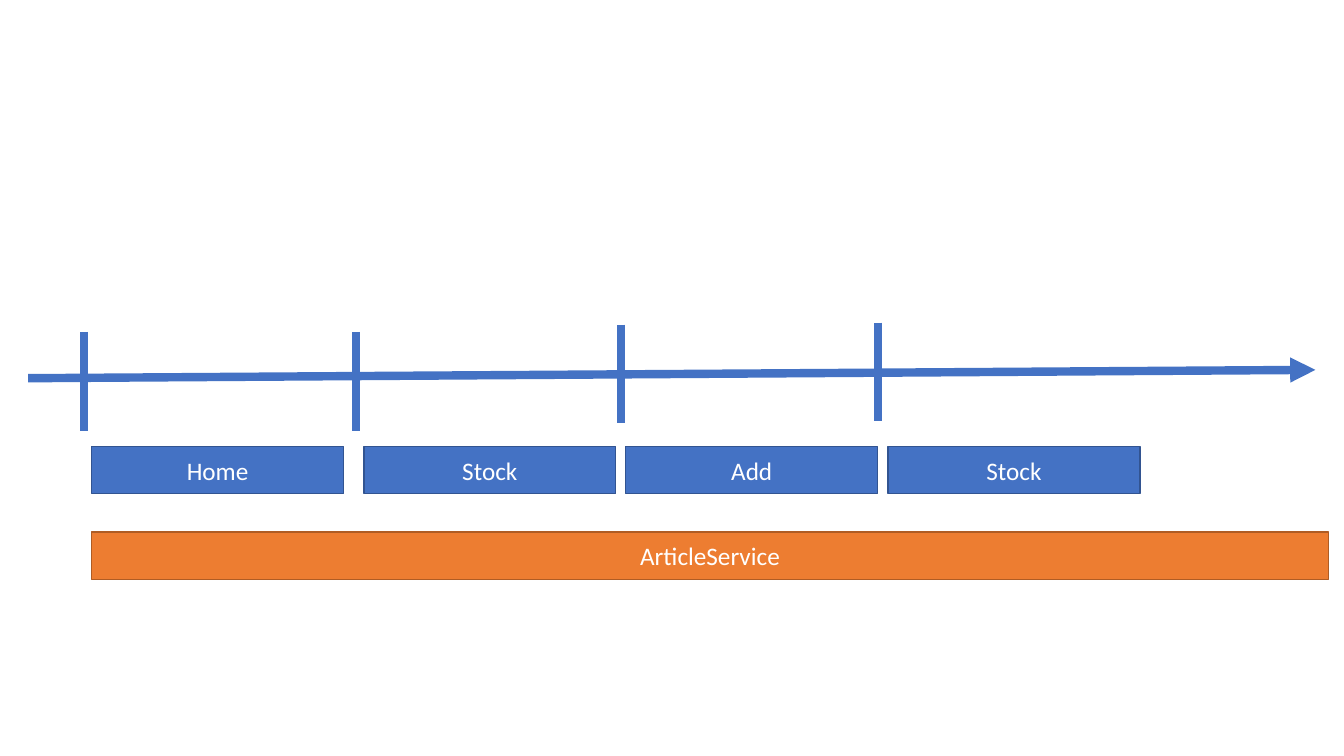
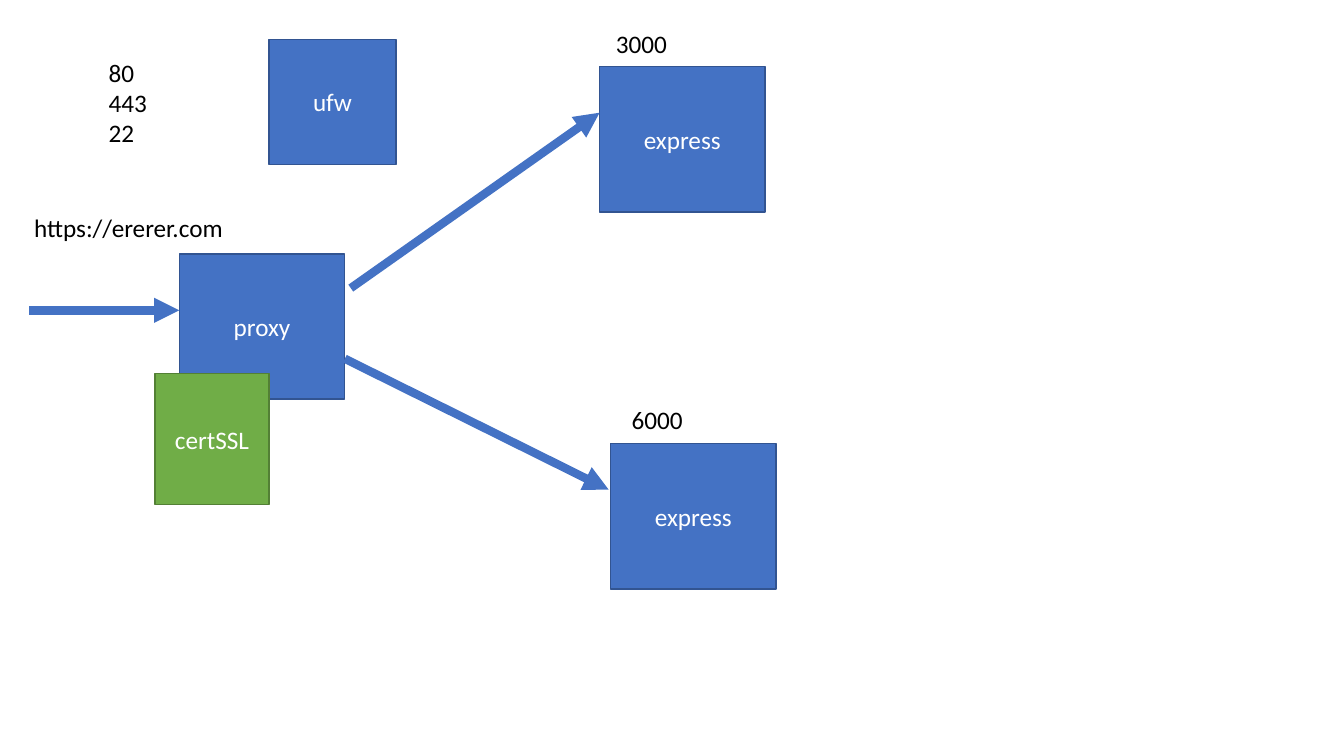
"""Build a page timeline slide and a server routing slide."""
import pptx
import pptx.dml.color
import pptx.enum.dml
import pptx.enum.shapes
import pptx.enum.text
import pptx.oxml
import pptx.oxml.ns
import pptx.util
import lxml.etree

Cm = pptx.util.Cm
Pt = pptx.util.Pt
COLORS = {
    "blue": "4472C4", "blue_edge": "325491",
    "orange": "ED7D31", "orange_edge": "AF5C24",
    "green": "70AD47", "green_edge": "538035",
    "white": "FFFFFF", "black": "000000",
}


def rgb(name):
    return pptx.dml.color.RGBColor.from_string(COLORS[name])


def write(tf, text, color="black", size=18, font="Calibri", align="LEFT",
          anchor="TOP", wrap=True):
    tf.word_wrap = wrap
    tf.vertical_anchor = getattr(pptx.enum.text.MSO_ANCHOR, anchor)
    for i, line in enumerate(text.split("\n")):
        p = tf.paragraphs[0] if i == 0 else tf.add_paragraph()
        p.alignment = getattr(pptx.enum.text.PP_ALIGN, align)
        r = p.add_run()
        r.text = line
        r.font.name = font
        r.font.size = Pt(size)
        r.font.color.rgb = rgb(color)


class Deck:
    def __init__(self):
        self.prs = pptx.Presentation()
        self.prs.slide_width = Cm(33.87)
        self.prs.slide_height = Cm(19.05)
        self.slide = None

    def add_slide(self):
        self.slide = self.prs.slides.add_slide(self.prs.slide_layouts[6])

    def box(self, text, x, y, w, h, color="blue"):
        sp = self.slide.shapes.add_shape(
            pptx.enum.shapes.MSO_SHAPE.RECTANGLE, Cm(x), Cm(y), Cm(w), Cm(h))
        sp.shadow.inherit = False
        sp.fill.solid()
        sp.fill.fore_color.rgb = rgb(color)
        sp.line.color.rgb = rgb(color + "_edge")
        sp.line.width = Pt(1)
        write(sp.text_frame, text, color="white", align="CENTER", anchor="MIDDLE")

    def label(self, text, x, y, w, h=1.02):
        sp = self.slide.shapes.add_textbox(Cm(x), Cm(y), Cm(w), Cm(h))
        write(sp.text_frame, text, wrap=False)
        sp.text_frame.auto_size = pptx.enum.text.MSO_AUTO_SIZE.SHAPE_TO_FIT_TEXT

    def line(self, x1, y1, x2, y2, arrow=False):
        sp = self.slide.shapes.add_connector(
            pptx.enum.shapes.MSO_CONNECTOR.STRAIGHT, Cm(x1), Cm(y1), Cm(x2), Cm(y2))
        sp.line.color.rgb = rgb("blue")
        sp.line.width = Pt(6)
        if arrow:
            tail = lxml.etree.SubElement(
                sp.line._get_or_add_ln(), pptx.oxml.ns.qn("a:tailEnd"))
            tail.set("type", "triangle")
        lxml.etree.SubElement(
            sp._element.spPr, pptx.oxml.ns.qn("a:effectLst"))


def timeline(deck):
    deck.add_slide()
    deck.line(0.71, 9.53, 33.15, 9.32, arrow=True)
    tick_height = 2.49
    pages = [("Home", 2.11, 8.36, 2.31), ("Stock", 8.97, 8.36, 9.17),
             ("Add", 15.65, 8.18, 15.77), ("Stock", 22.12, 8.13, 22.38)]
    for page, tick_x, tick_y, box_x in pages:
        deck.line(tick_x, tick_y, tick_x, tick_y + tick_height)
        deck.box(page, box_x, 11.25, 6.35, 1.19)
    deck.box("ArticleService", 2.31, 13.41, 31.17, 1.19, "orange")


def routing(deck):
    deck.add_slide()
    server = (4.17, 3.66)
    deck.box("proxy", 4.52, 6.4, *server)
    deck.line(0.74, 7.82, 4.52, 7.82, arrow=True)
    deck.label("https://ererer.com", 0.61, 5.23, 5.33)
    deck.box("express", 15.11, 1.68, *server)
    deck.line(8.84, 7.26, 15.11, 2.84, arrow=True)
    deck.label("3000", 15.27, 0.58, 1.8)
    deck.box("express", 15.39, 11.18, *server)
    deck.line(8.69, 9.04, 15.34, 12.34, arrow=True)
    deck.label("6000", 15.67, 10.06, 1.8)
    deck.box("certSSL", 3.91, 9.42, 2.87, 3.3, "green")
    deck.box("ufw", 6.78, 0.99, 3.2, 3.15)
    deck.label("80\n443\n22", 2.49, 1.32, 1.5, 3.33)


deck = Deck()
timeline(deck)
routing(deck)
deck.prs.save("out.pptx")
